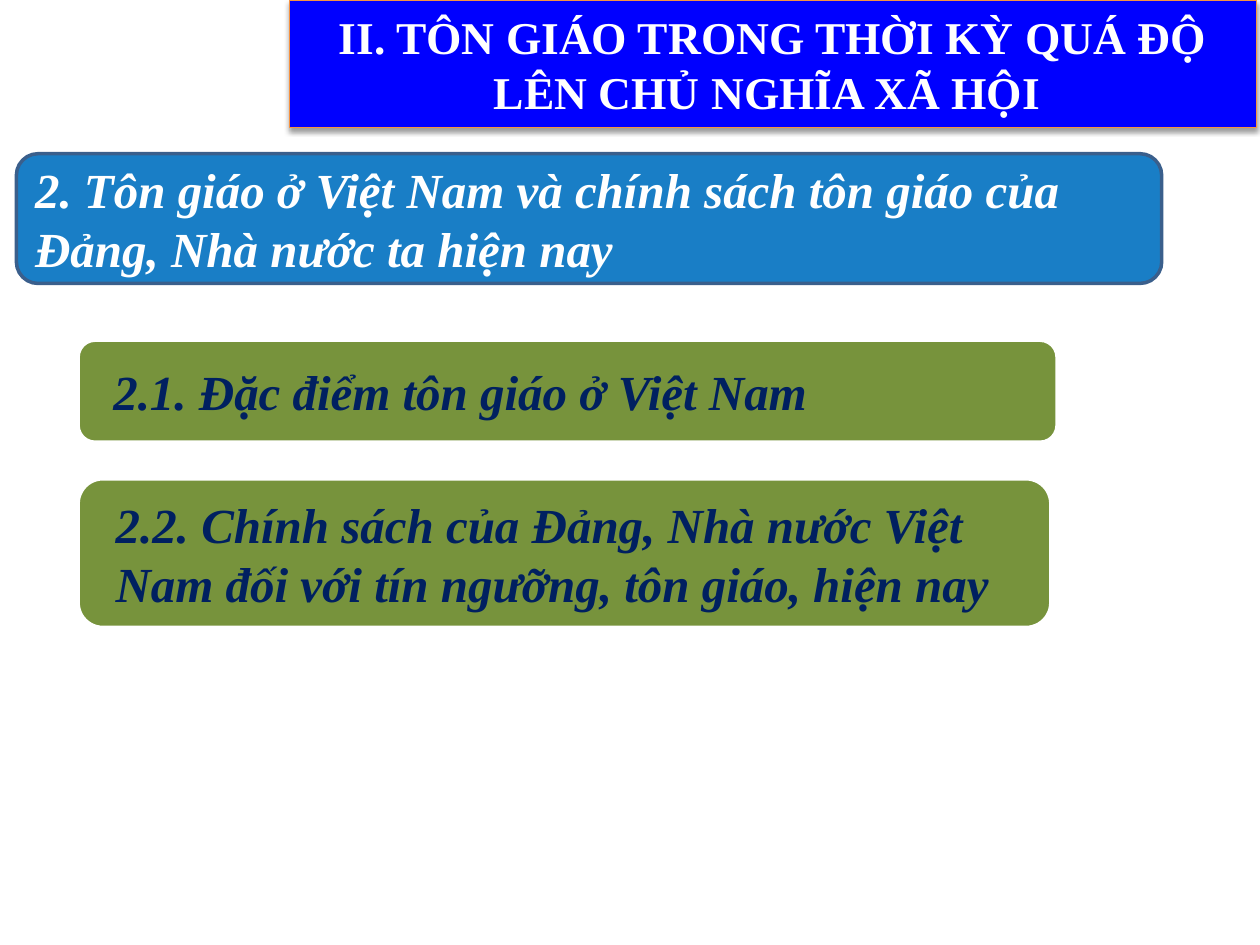
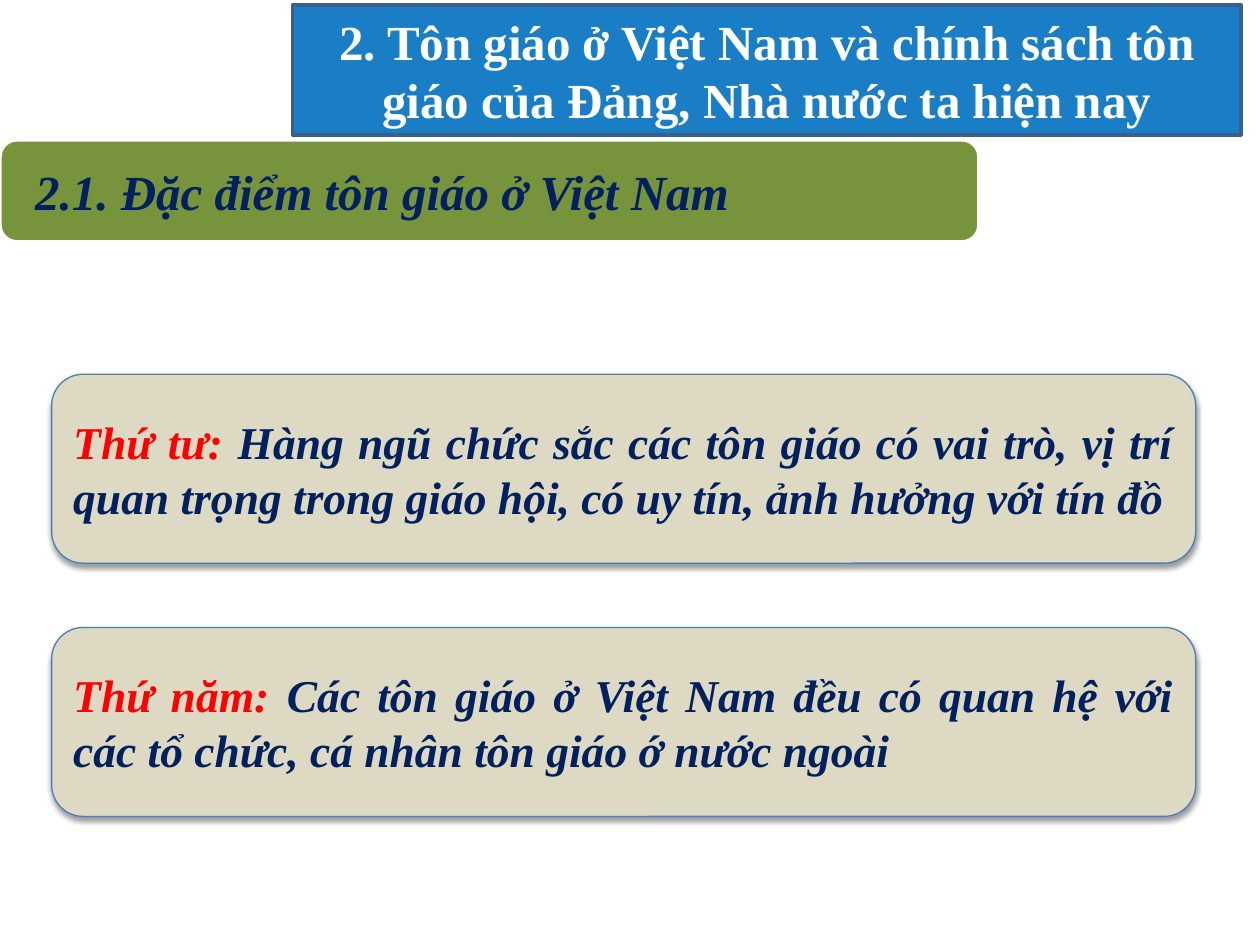
from lxml.etree import SubElement
from pptx import Presentation
from pptx.dml.color import RGBColor
from pptx.enum.shapes import MSO_SHAPE as Shape
from pptx.enum.text import MSO_ANCHOR as Anchor, MSO_AUTO_SIZE as AutoSize, PP_ALIGN as Align
from pptx.oxml.ns import qn
from pptx.util import Inches, Pt

deck = Presentation()
deck.slide_width, deck.slide_height = Inches(10), Inches(7.5)

# Grid: 100 columns by 75 rows
COL, ROW = deck.slide_width / 100, deck.slide_height / 75

# Shared looks
WHITE, NAVY, RED = "FFFFFF", "002060", "FF0000"
CHAPTER = dict(fill="0000FF", line="F69240", weight=0.75, shadow=True,
               size=26, italic=False, align=Align.CENTER)
SECTION = dict(fill="0070C0", opacity=90, line="3A5F8C", weight=2,
               size=28, italic=True, align=Align.LEFT)
SECTION_TITLE = SECTION | dict(italic=False, align=Align.CENTER)
TOPIC = dict(fill="77933C", line=WHITE, weight=2, inset=2.4,
             size=28, italic=True, align=Align.LEFT)
POINT = dict(fill="DDD9C3", line="4B7EBC", weight=0.75, shadow=True,
             size=26, italic=True, align=Align.JUSTIFY)

# Wording used on both slides
SECTION_NAME = "2. Tôn giáo ở Việt Nam và chính sách tôn giáo của Đảng, Nhà nước ta hiện nay"
FEATURES = "2.1. Đặc điểm tôn giáo ở Việt Nam"


def color(hex_code):
    return RGBColor.from_string(hex_code)


def band(slide, place, look, runs, is_title=False):
    """Rounded band with text; place is left, top, width, height in grid units."""
    left, top, width, height = place
    area = dict(left=int(left * COL), top=int(top * ROW),
                width=int(width * COL), height=int(height * ROW))
    if is_title:
        panel = slide.shapes.title
        for name, value in area.items():
            setattr(panel, name, value)
        outline = SubElement(panel._element.spPr, qn("a:prstGeom"), prst="roundRect")
        SubElement(outline, qn("a:avLst"))
    else:
        panel = slide.shapes.add_shape(Shape.ROUNDED_RECTANGLE, *area.values())

    # Fill, outline and shadow
    panel.fill.solid()
    panel.fill.fore_color.rgb = color(look["fill"])
    panel.line.color.rgb = color(look["line"])
    panel.line.width = Pt(look["weight"])
    panel.shadow.inherit = False
    props = panel._element.spPr
    if "opacity" in look:
        tint = props.find(qn("a:solidFill")).find(qn("a:srgbClr"))
        SubElement(tint, qn("a:alpha"), val=str(look["opacity"] * 1000))
    if look.get("shadow"):
        cast = SubElement(props.find(qn("a:effectLst")), qn("a:outerShdw"), blurRad="40000",
                          dist="20000", dir="5400000", rotWithShape="0")
        shade = SubElement(cast, qn("a:srgbClr"), val="000000")
        SubElement(shade, qn("a:alpha"), val="38000")

    # Text
    side = int(look.get("inset", 1) * COL)
    frame = panel.text_frame
    frame_format = dict(word_wrap=True, auto_size=AutoSize.NONE, vertical_anchor=Anchor.MIDDLE,
                        margin_left=side, margin_right=side)
    for name, value in frame_format.items():
        setattr(frame, name, value)
    paragraph = frame.paragraphs[0]
    paragraph.alignment = look["align"]
    for words, ink in runs:
        run = paragraph.add_run()
        run.text = words
        run.font.color.rgb = color(ink)
        font_format = dict(name="Times New Roman", size=Pt(look["size"]),
                           bold=True, italic=look["italic"])
        for name, value in font_format.items():
            setattr(run.font, name, value)


title_only = deck.slide_layouts[5]

# Slide 1: chapter, section and its two topics
outline_slide = deck.slides.add_slide(title_only)
band(outline_slide, (23, 0, 76.7, 10.1), CHAPTER,
     [("II. TÔN GIÁO TRONG THỜI KỲ QUÁ ĐỘ LÊN CHỦ NGHĨA XÃ HỘI ", WHITE)], is_title=True)
topics = [
    ((6.2, 27, 77.7, 8.1), FEATURES),
    ((6.2, 38, 77.2, 11.8),
     "2.2. Chính sách của Đảng, Nhà nước Việt Nam đối với tín ngưỡng, tôn giáo, hiện nay"),
]
for place, topic in topics:
    band(outline_slide, place, TOPIC, [(topic, NAVY)])
band(outline_slide, (1.3, 12.2, 90.9, 10.3), SECTION, [(SECTION_NAME, WHITE)])

# Slide 2: fourth and fifth features
features_slide = deck.slides.add_slide(title_only)
band(features_slide, (23.2, 0.4, 75.3, 10.3), SECTION_TITLE, [(SECTION_NAME, WHITE)],
     is_title=True)
band(features_slide, (0, 11.1, 77.7, 8.1), TOPIC, [(FEATURES, NAVY)])
points = [
    ("Thứ tư: ", "Hàng ngũ chức sắc các tôn giáo có vai trò, vị trí quan trọng trong giáo hội, "
                 "có uy tín, ảnh hưởng với tín đồ"),
    ("Thứ năm: ", "Các tôn giáo ở Việt Nam đều có quan hệ với các tổ chức, "
                  "cá nhân tôn giáo ớ nước ngoài"),
]
for index, (ordinal, statement) in enumerate(points):
    band(features_slide, (4.1, 29.7 + 20.1 * index, 90.8, 15), POINT,
         [(ordinal, RED), (statement, NAVY)])

deck.save("out.pptx")
